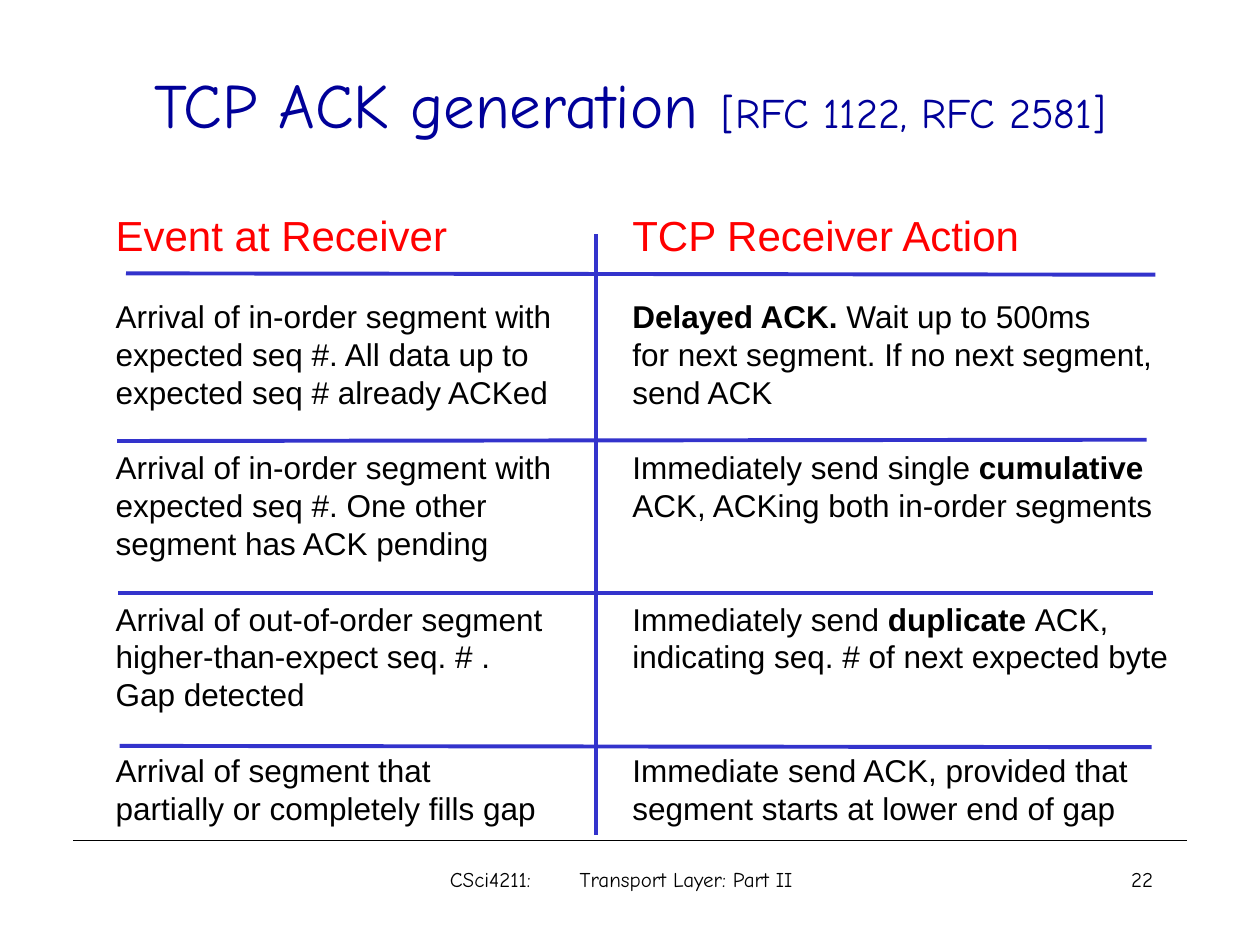
from lxml.etree import SubElement
from pptx import Presentation
from pptx.dml.color import RGBColor
from pptx.enum.shapes import MSO_CONNECTOR as Connector
from pptx.enum.text import MSO_ANCHOR as Anchor, PP_ALIGN as Align
from pptx.oxml.ns import qn
from pptx.util import Inches, Pt

BLACK = RGBColor(0x00, 0x00, 0x00)
NAVY = RGBColor(0x00, 0x00, 0x99)
RED = RGBColor(0xFF, 0x00, 0x00)
BLUE = RGBColor(0x33, 0x33, 0xCC)

BODY_SIZE = 18
HEADING_SIZE = 24
LINE_RATIO = 1.2
LINES_PER_ROW = 4

EVENTS = [
    ["Arrival of in-order segment with", "expected seq #. All data up to",
     "expected seq # already ACKed"],
    ["Arrival of in-order segment with", "expected seq #. One other",
     "segment has ACK pending"],
    ["Arrival of out-of-order segment", "higher-than-expect seq. # .",
     "Gap detected"],
    ["Arrival of segment that", "partially or completely fills gap"],
]
ACTIONS = [
    [[("Delayed ACK.", {"bold": True}), " Wait up to 500ms"],
     "for next segment. If no next segment,", "send ACK"],
    [["Immediately send single ", ("cumulative", {"bold": True})],
     "ACK, ACKing both in-order segments"],
    [["Immediately send ", ("duplicate ", {"bold": True}), "ACK,"],
     "indicating seq. # of next expected byte"],
    ["Immediate send ACK, provided that", "segment starts at lower end of gap"],
]
ROW_RULES = [
    (1, 2.17, 9.17, 2.18),
    (0.93, 3.5, 9.1, 3.49),
    (0.94, 4.71, 9.15, 4.71),
    (0.95, 5.92, 9.14, 5.93),
]


def write(paragraph, text, font="Arial", size=BODY_SIZE, color=BLACK,
          align=Align.LEFT, line=None, before=0, tab=None):
    paragraph.alignment = align
    paragraph.space_before = Pt(before)
    if line:
        paragraph.line_spacing = Pt(line)
    if tab:
        stops = SubElement(paragraph._p.get_or_add_pPr(), qn("a:tabLst"))
        SubElement(stops, qn("a:tab"), pos=str(Inches(tab)), algn="l")
    paragraph.font.size = Pt(size)
    for part in [text] if isinstance(text, str) else text:
        content, changes = (part, {}) if isinstance(part, str) else part
        run = paragraph.add_run()
        run.text = content
        run.font.name = font
        run.font.size = Pt(changes.get("size", size))
        run.font.bold = changes.get("bold", False)
        run.font.color.rgb = color


class SlideBuilder:
    def __init__(self, slide, display_font="Comic Neue"):
        self.slide = slide
        self.display_font = display_font

    def frame(self, left, top, width, height, wrap=True,
              anchor=Anchor.TOP, inset=0.1):
        box = self.slide.shapes.add_textbox(
            Inches(left), Inches(top), Inches(width), Inches(height))
        frame = box.text_frame
        frame.word_wrap = wrap
        frame.vertical_anchor = anchor
        frame.margin_left = Inches(inset)
        return frame

    def label(self, box, text, anchor=Anchor.TOP, inset=0.1, **style):
        frame = self.frame(*box, anchor=anchor, inset=inset)
        write(frame.paragraphs[0], text, font=self.display_font, **style)

    def column(self, left, width, heading, rows):
        frame = self.frame(left, 1.61, width, 5.6, wrap=False)
        write(frame.paragraphs[0], heading, size=HEADING_SIZE, color=RED,
              line=HEADING_SIZE * LINE_RATIO)
        pitch = BODY_SIZE * LINE_RATIO
        gap = pitch
        for row in rows:
            for index, text in enumerate(row):
                write(frame.add_paragraph(), text, line=pitch,
                      before=0 if index else gap)
            gap = (LINES_PER_ROW - len(row)) * pitch

    def rule(self, x1, y1, x2, y2, color=BLUE, width=2.25):
        connector = self.slide.shapes.add_connector(
            Connector.STRAIGHT, Inches(x1), Inches(y1), Inches(x2), Inches(y2))
        connector.line.color.rgb = color
        connector.line.width = Pt(width)
        SubElement(connector._element.spPr, qn("a:effectLst"))


def main():
    presentation = Presentation()
    presentation.slide_width = Inches(10)
    presentation.slide_height = Inches(7.5)
    slide = presentation.slides.add_slide(presentation.slide_layouts[6])
    builder = SlideBuilder(slide)

    builder.rule(0.58, 6.67, 9.42, 6.67, color=BLACK, width=0.75)
    builder.label((3.33, 6.83, 3.25, 0.5), "CSci4211:\tTransport Layer: Part II",
                  size=12, inset=0.24, tab=1.03)
    builder.label((7.17, 6.83, 2.08, 0.5), "22", size=12, align=Align.RIGHT)
    builder.label((0.75, 0.17, 8.5, 1.25),
                  ["TCP ACK generation", (" ", {"size": 40}),
                   ("[RFC 1122, RFC 2581]", {"size": 24})],
                  size=36, color=NAVY, align=Align.CENTER, anchor=Anchor.MIDDLE)
    builder.column(0.82, 3.66, "Event at Receiver", EVENTS)
    builder.column(4.92, 4.45, "TCP Receiver Action", ACTIONS)
    for ends in ROW_RULES:
        builder.rule(*ends)
    builder.rule(4.73, 1.86, 4.73, 6.63)
    presentation.save("out.pptx")


if __name__ == "__main__":
    main()
